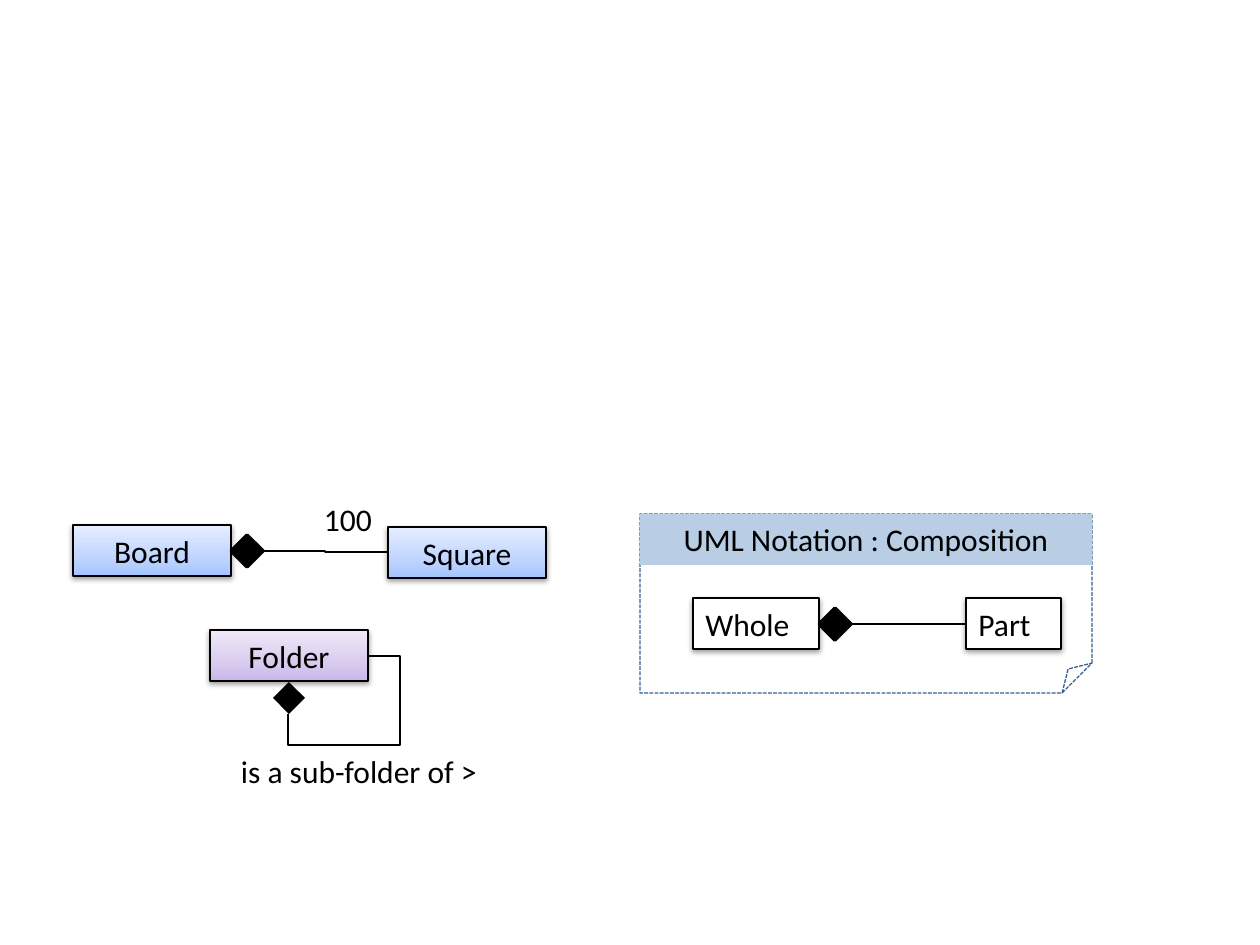
from copy import deepcopy

from pptx import Presentation
from pptx.dml.color import RGBColor
from pptx.enum.dml import MSO_LINE
from pptx.enum.shapes import MSO_CONNECTOR, MSO_SHAPE
from pptx.enum.text import MSO_ANCHOR, MSO_AUTO_SIZE, PP_ALIGN
from pptx.oxml.ns import qn
from pptx.util import Emu, Inches, Pt
from lxml.etree import SubElement

BLACK = RGBColor(0x00, 0x00, 0x00)
WHITE = RGBColor(0xFF, 0xFF, 0xFF)
NAVY = RGBColor(0x37, 0x60, 0x92)
PALE = RGBColor(0xB9, 0xCD, 0xE5)
BLUES = [RGBColor(0xA4, 0xC4, 0xFF), RGBColor(0xBF, 0xD4, 0xFF), RGBColor(0xE6, 0xEE, 0xFF)]
MAUVES = [RGBColor(0xC9, 0xB5, 0xE8), RGBColor(0xD8, 0xCB, 0xEE), RGBColor(0xF0, 0xEA, 0xF9)]
STOPS = [0, 0.35, 1]
ROW = 51
GEM = 32


def px(*vals):
    """Turn pixels into EMU."""
    return [Emu(round(v * 914400 / 126)) for v in vals]


def write(shape, text, align=PP_ALIGN.LEFT, anchor=MSO_ANCHOR.TOP):
    """Put one line of black text in a shape."""
    frame = shape.text_frame
    frame.word_wrap = True
    frame.auto_size = MSO_AUTO_SIZE.SHAPE_TO_FIT_TEXT
    frame.vertical_anchor = anchor
    para = frame.paragraphs[0]
    para.alignment = align
    run = para.add_run()
    run.text = text
    run.font.name = "Calibri"
    run.font.size = Pt(18)
    run.font.color.rgb = BLACK


def block(slide, kind, box, fill=None, line=None, width=0.75):
    """Add a flat shape with an optional fill and line."""
    shape = slide.shapes.add_shape(kind, *px(*box))
    shape.shadow.inherit = False
    if fill is None:
        shape.fill.background()
    else:
        shape.fill.solid()
        shape.fill.fore_color.rgb = fill
    if line is None:
        shape.line.fill.background()
    else:
        shape.line.color.rgb = line
        shape.line.width = Pt(width)
    return shape


def shade(shape, tints):
    """Fill a shape with a gradient that rises from its foot."""
    shape.fill.gradient()
    shape.fill.gradient_angle = 90
    stops = shape._element.spPr.find(".//" + qn("a:gsLst"))
    stops.insert(1, deepcopy(stops[0]))
    for stop, place, tint in zip(shape.fill.gradient_stops, STOPS, tints):
        stop.position = place
        stop.color.rgb = tint


def node(slide, x, y, w, text, tints=None):
    """Add a class box with a soft shadow."""
    shape = block(slide, MSO_SHAPE.RECTANGLE, (x, y, w, ROW), WHITE, BLACK)
    if tints:
        shade(shape, tints)
    drop = SubElement(shape._element.spPr.find(qn("a:effectLst")), qn("a:outerShdw"),
                      blurRad="40000", dist="20000", dir="5400000", rotWithShape="0")
    tone = SubElement(drop, qn("a:srgbClr"), val="000000")
    SubElement(tone, qn("a:alpha"), val="38000")
    write(shape, text, PP_ALIGN.CENTER if tints else PP_ALIGN.LEFT, MSO_ANCHOR.MIDDLE)


def gem(slide, x, y, line=BLACK):
    """Add the filled diamond of a composition."""
    block(slide, MSO_SHAPE.FLOWCHART_DECISION, (x, y, GEM, GEM), BLACK, line, 2)


def link(slide, *ends):
    """Add a thin elbow line."""
    wire = slide.shapes.add_connector(MSO_CONNECTOR.ELBOW, *px(*ends))
    wire.line.color.rgb = BLACK
    wire.line.width = Pt(0.75)
    SubElement(wire._element.spPr, qn("a:effectLst"))
    return wire


def label(slide, x, y, w, text):
    """Add an indented caption."""
    shape = slide.shapes.add_textbox(*px(x, y, w, ROW))
    write(shape, text)
    shape.text_frame.margin_left = px(62)[0]


def legend(slide, x, y, w, h):
    """Draw the note that explains the notation."""
    note = block(slide, MSO_SHAPE.FOLDED_CORNER, (x, y, w, h), None, NAVY)
    note.line.dash_style = MSO_LINE.SQUARE_DOT
    head = block(slide, MSO_SHAPE.RECTANGLE, (x, y, w, ROW), PALE)
    write(head, "UML Notation : Composition", PP_ALIGN.CENTER)
    node(slide, x + 53, y + 84, 126, "Whole")
    node(slide, x + 326, y + 84, 95, "Part")
    link(slide, x + 210, y + 110, x + 326, y + 110)
    gem(slide, x + 179, y + 94)


def board(slide, x, y):
    """Draw a board made of squares."""
    node(slide, x, y, 158, "Board", BLUES)
    node(slide, x + 315, y + 2, 158, "Square", BLUES)
    link(slide, x + 189, y + 26, x + 315, y + 27)
    label(slide, x + 189, y - 31, 126, "100")
    gem(slide, x + 158, y + 10)


def folder(slide, x, y):
    """Draw a folder that holds folders."""
    node(slide, x, y, 158, "Folder", MAUVES)
    loop = link(slide, x + 147, y + 95, x + 89, y + 15)
    loop.rotation = 90 if hasattr(loop, "rotation") else 0
    form = loop._element.spPr
    form.find(qn("a:xfrm")).set("rot", "5400000")
    shape = form.find(qn("a:prstGeom"))
    shape.set("prst", "bentConnector4")
    for name, val in (("adj1", -53800), ("adj2", 140000)):
        SubElement(shape.find(qn("a:avLst")), qn("a:gd"), name=name, fmla=f"val {val}")
    gem(slide, x + 63, y + 52, None)
    label(slide, x - 31, y + 116, 315, "is a sub-folder of >")


def main():
    """Build and save the slide."""
    deck = Presentation()
    deck.slide_width, deck.slide_height = Inches(10), Inches(7.5)
    slide = deck.slides.add_slide(deck.slide_layouts[6])
    legend(slide, 640, 514, 452, 179)
    board(slide, 73, 525)
    folder(slide, 210, 630)
    deck.save("out.pptx")


if __name__ == "__main__":
    main()
